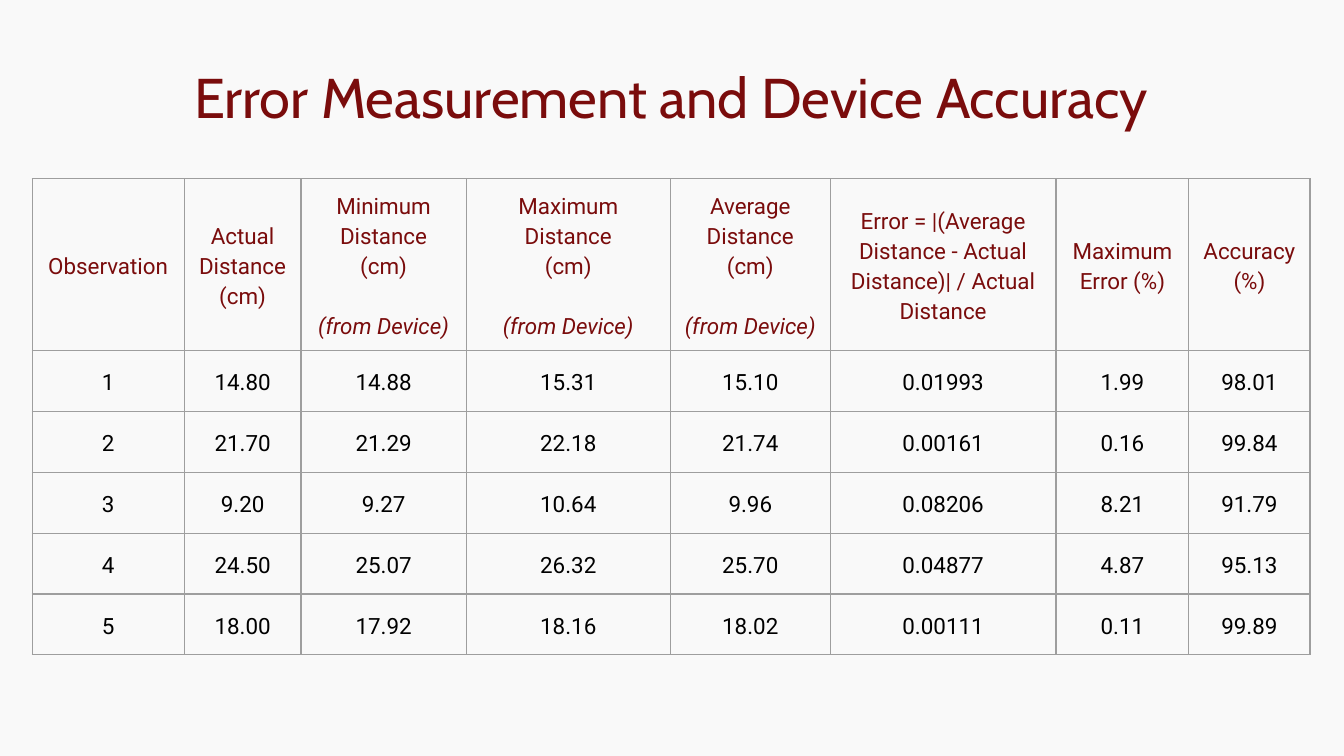
from pptx import Presentation
from pptx.dml.color import RGBColor
from pptx.enum.text import MSO_ANCHOR, MSO_AUTO_SIZE, PP_ALIGN
from pptx.oxml import parse_xml
from pptx.oxml.ns import nsdecls
from pptx.util import Cm, Pt

COLORS = {"background": "F9F9F9", "heading": "7A0C0C", "value": "000000", "border": "9E9E9E"}
FROM_DEVICE = "(from Device)"
HEADINGS = [
    ["Observation"],
    ["Actual Distance (cm)"],
    ["Minimum Distance", "(cm)", FROM_DEVICE],
    ["Maximum Distance", "(cm)", FROM_DEVICE],
    ["Average\nDistance", "(cm)", FROM_DEVICE],
    ["Error = |(Average Distance - Actual Distance)| / Actual Distance"],
    ["Maximum Error (%)"],
    ["Accuracy", "(%)"],
]
OBSERVATIONS = [
    ["1", "14.80", "14.88", "15.31", "15.10", "0.01993", "1.99", "98.01"],
    ["2", "21.70", "21.29", "22.18", "21.74", "0.00161", "0.16", "99.84"],
    ["3", "9.20", "9.27", "10.64", "9.96", "0.08206", "8.21", "91.79"],
    ["4", "24.50", "25.07", "26.32", "25.70", "0.04877", "4.87", "95.13"],
    ["5", "18.00", "17.92", "18.16", "18.02", "0.00111", "0.11", "99.89"],
]
COLUMN_WIDTHS = [2.87, 2.21, 3.12, 3.86, 3.02, 4.27, 2.51, 2.29]
ROW_HEIGHTS = [3.25] + [1.15] * len(OBSERVATIONS)
LEFT, WIDTH = Cm(0.61), Cm(24.15)


def add_text(paragraph, text, font_name, size, color):
    for index, line in enumerate(text.split("\n")):
        if index:
            paragraph.add_line_break()
        run = paragraph.add_run()
        run.text = line
        run.font.name = font_name
        run.font.size = Pt(size)
        run.font.italic = line == FROM_DEVICE
        run.font.color.rgb = RGBColor.from_string(COLORS[color])


def add_borders(cell):
    properties = cell._tc.get_or_add_tcPr()
    for side in ("lnL", "lnR", "lnT", "lnB"):
        properties.append(parse_xml(
            f'<a:{side} {nsdecls("a")} w="{Pt(0.75)}"><a:solidFill>'
            f'<a:srgbClr val="{COLORS["border"]}"/></a:solidFill></a:{side}>'))


presentation = Presentation()
presentation.slide_width = Cm(25.4)
presentation.slide_height = Cm(14.29)
slide = presentation.slides.add_slide(presentation.slide_layouts[5])
slide.background.fill.solid()
slide.background.fill.fore_color.rgb = RGBColor.from_string(COLORS["background"])

title = slide.shapes.title
title.left, title.top, title.width, title.height = LEFT, Cm(0.94), WIDTH, Cm(1.6)
title_frame = title.text_frame
title_frame.word_wrap = True
title_frame.auto_size = MSO_AUTO_SIZE.NONE
title_frame.vertical_anchor = MSO_ANCHOR.TOP
title_frame.margin_left = title_frame.margin_right = Cm(0.25)
title_frame.margin_top = title_frame.margin_bottom = Cm(0.25)
title_frame.paragraphs[0].alignment = PP_ALIGN.CENTER
add_text(title_frame.paragraphs[0], "Error Measurement and Device Accuracy", "Cabin", 30, "heading")

measurements = slide.shapes.add_table(
    len(ROW_HEIGHTS), len(COLUMN_WIDTHS), LEFT, Cm(3.38), WIDTH, Cm(sum(ROW_HEIGHTS))).table
measurements.first_row = False
measurements.horz_banding = False
for column, width in zip(measurements.columns, COLUMN_WIDTHS):
    column.width = Cm(width)
for row, height in zip(measurements.rows, ROW_HEIGHTS):
    row.height = Cm(height)

contents = [HEADINGS] + [[[value] for value in values] for values in OBSERVATIONS]
for row_index, row_contents in enumerate(contents):
    for column_index, lines in enumerate(row_contents):
        cell = measurements.cell(row_index, column_index)
        add_borders(cell)
        cell.fill.background()
        cell.vertical_anchor = MSO_ANCHOR.MIDDLE
        cell.margin_left = cell.margin_right = Cm(0.18)
        cell.margin_top = cell.margin_bottom = 0
        for line_index, line in enumerate(lines):
            frame = cell.text_frame
            paragraph = frame.add_paragraph() if line_index else frame.paragraphs[0]
            paragraph.alignment = PP_ALIGN.CENTER
            paragraph.line_spacing = 1.15
            if line == FROM_DEVICE:
                paragraph.space_before = Pt(16.2)
            add_text(paragraph, line, "Roboto", 12, "value" if row_index else "heading")

presentation.save("out.pptx")
